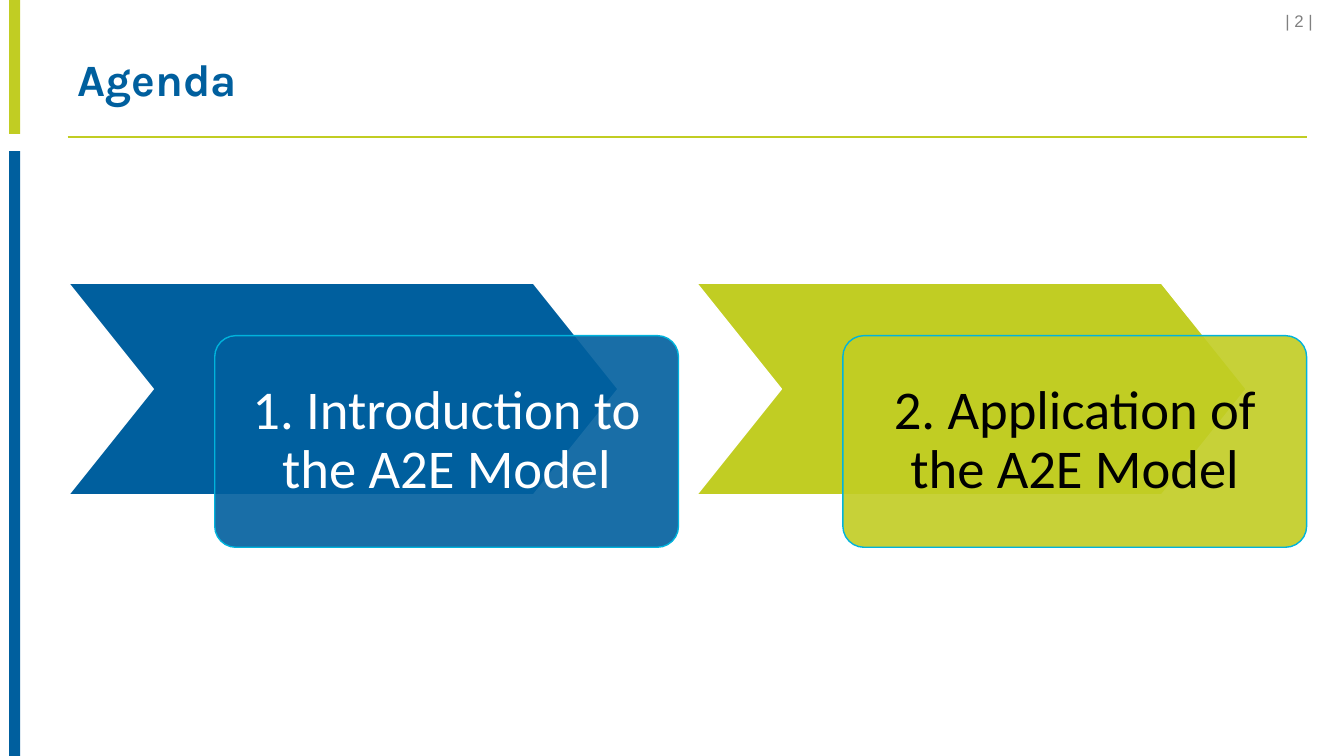
from pptx import Presentation
from pptx.dml.color import RGBColor
from pptx.enum.shapes import MSO_CONNECTOR, MSO_SHAPE
from pptx.enum.text import MSO_ANCHOR, PP_ALIGN
from pptx.oxml.ns import qn
from pptx.util import Inches, Pt
from lxml.etree import SubElement

COLORS = {
    "blue": "005F9E",
    "lime": "C1CD23",
    "cyan": "00B3DC",
    "gray": "808080",
    "white": "FFFFFF",
    "black": "000000",
}
AGENDA = [
    ("1. Introduction to the A2E Model", "blue", "white"),
    ("2. Application of the A2E Model", "lime", "black"),
]


def rgb(name):
    return RGBColor.from_string(COLORS[name])


def write_text(shape, text, font, size, color, bold=False, align=PP_ALIGN.LEFT,
               anchor=MSO_ANCHOR.MIDDLE, spacing=1.0, inset=(0.1, 0.05)):
    frame = shape.text_frame
    frame.word_wrap = True
    frame.vertical_anchor = anchor
    frame.margin_left = frame.margin_right = Inches(inset[0])
    frame.margin_top = frame.margin_bottom = Inches(inset[1])
    para = frame.paragraphs[0]
    para.alignment = align
    para.line_spacing = spacing
    span = para.add_run()
    span.text = text
    span.font.name = font
    span.font.size = Pt(size)
    span.font.bold = bold
    span.font.color.rgb = rgb(color)


def add_block(page, kind, left, top, width, height, fill, line=None, alpha=None):
    shape = page.shapes.add_shape(
        kind, Inches(left), Inches(top), Inches(width), Inches(height))
    shape.shadow.inherit = False
    shape.fill.solid()
    shape.fill.fore_color.rgb = rgb(fill)
    if alpha is not None:
        color = shape.fill._xPr.find(qn("a:solidFill")).find(qn("a:srgbClr"))
        SubElement(color, qn("a:alpha"), val=str(alpha * 1000))
    if line:
        shape.line.color.rgb = rgb(line)
        shape.line.width = Pt(1)
    else:
        shape.line.fill.background()
    return shape


def add_side_bars(page, left, top, width, height):
    lime_height, gap = 1.33, 0.17
    blue_top = top + lime_height + gap
    add_block(page, MSO_SHAPE.RECTANGLE, left, top, width, lime_height, "lime")
    add_block(page, MSO_SHAPE.RECTANGLE, left, blue_top, width,
              top + height - blue_top, "blue")


def add_header(page, left, top, width, height):
    title = page.shapes.title
    title.left, title.top = Inches(left), Inches(top)
    title.width, title.height = Inches(width), Inches(height)
    write_text(title, "Agenda", "Karla", 32, "blue", bold=True, spacing=0.9)

    # Rule under the title
    rule_top = Inches(top + height + 0.14)
    rule = page.shapes.add_connector(
        MSO_CONNECTOR.STRAIGHT, Inches(left), rule_top,
        Inches(left + width), rule_top)
    rule.line.color.rgb = rgb("lime")
    rule.line.width = Pt(1)
    SubElement(rule._element.spPr, qn("a:effectLst"))


def add_page_number(page, left, top, width, height):
    box = page.shapes.add_textbox(
        Inches(left), Inches(top), Inches(width), Inches(height))
    write_text(box, "| 2 |", "Arial", 12, "gray", align=PP_ALIGN.RIGHT,
               anchor=MSO_ANCHOR.TOP, inset=(0.15, 0.05))


def add_agenda_step(page, left, top, width, height, text, fill, text_color):
    part_height = 2.1
    label_width = 4.6
    chevron = add_block(page, MSO_SHAPE.CHEVRON, left, top, 5.45, part_height,
                        fill, line="white")
    chevron.adjustments[0] = 0.4

    # Label overlapping the lower right of the chevron
    label = add_block(page, MSO_SHAPE.ROUNDED_RECTANGLE,
                      left + width - label_width, top + height - part_height,
                      label_width, part_height, fill, line="cyan", alpha=90)
    label.adjustments[0] = 0.1
    write_text(label, text, "Calibri", 39, text_color, align=PP_ALIGN.CENTER,
               spacing=0.9, inset=(0.3, 0.3))


def add_agenda(page, left, top, width, height):
    gap = 0.18
    step_width = (width - gap * (len(AGENDA) - 1)) / len(AGENDA)
    for index, (text, fill, text_color) in enumerate(AGENDA):
        add_agenda_step(page, left + index * (step_width + gap), top,
                        step_width, height, text, fill, text_color)


def main():
    deck = Presentation()
    deck.slide_width, deck.slide_height = Inches(13.33), Inches(7.5)
    page = deck.slides.add_slide(deck.slide_layouts.get_by_name("Title Only"))
    add_side_bars(page, 0.09, 0, 0.11, 7.5)
    add_header(page, 0.67, 0.4, 12.29, 0.82)
    add_agenda(page, 0.68, 2.81, 12.28, 2.62)
    add_page_number(page, 11.24, 0.06, 1.93, 0.28)
    deck.save("out.pptx")


if __name__ == "__main__":
    main()
